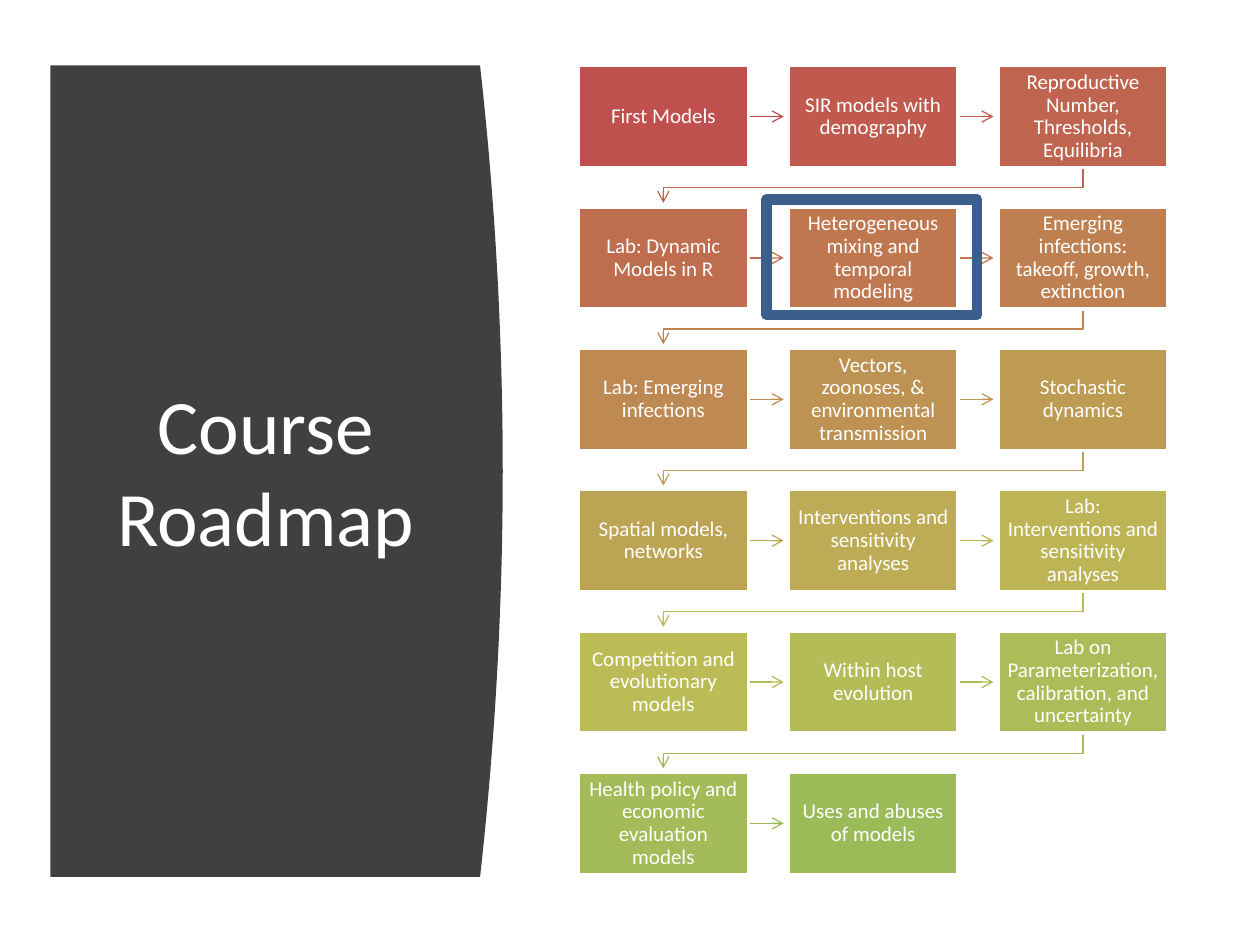
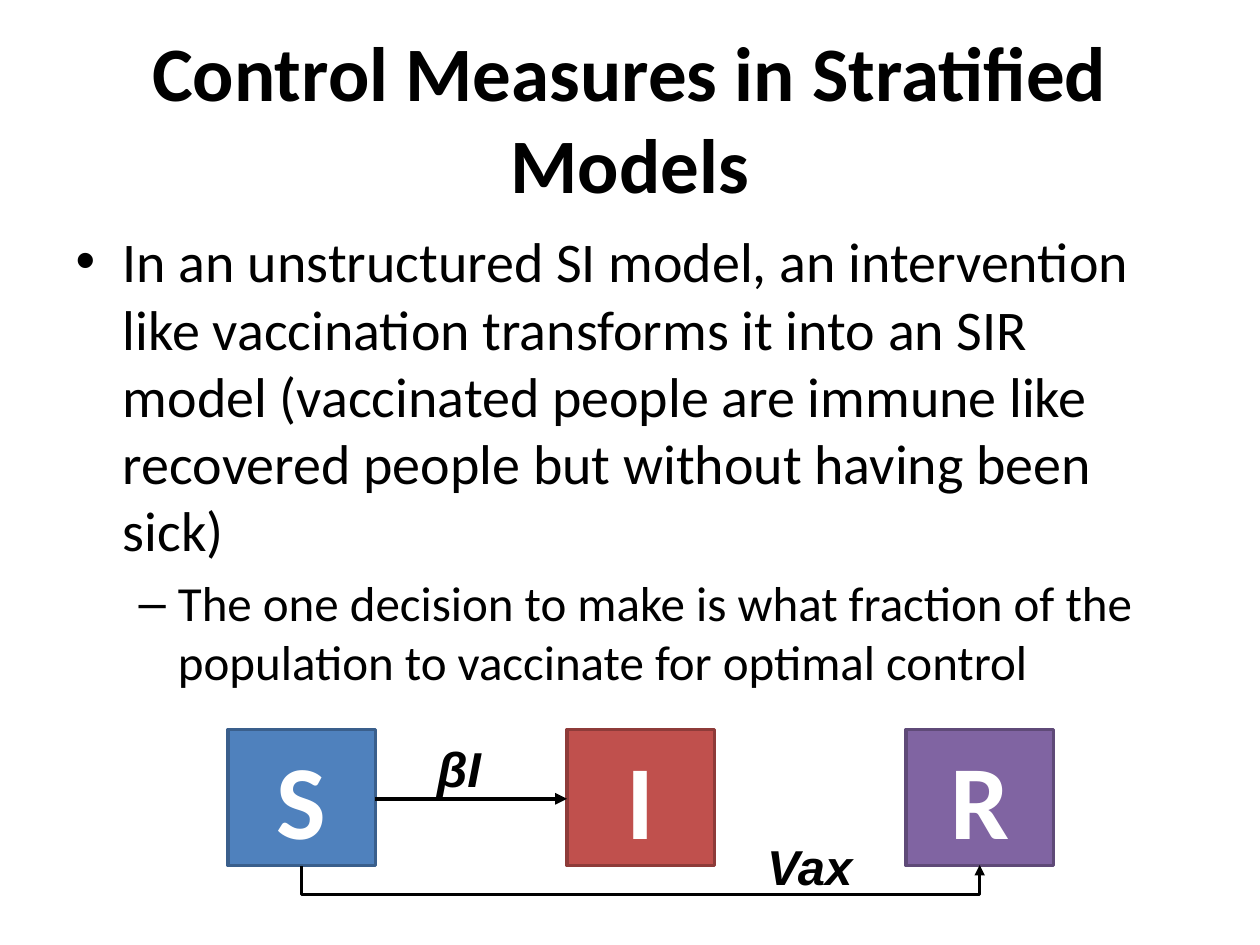
from colorsys import hls_to_rgb, rgb_to_hls

from lxml.etree import SubElement
from pptx import Presentation
from pptx.dml.color import RGBColor
from pptx.enum.shapes import MSO_CONNECTOR, MSO_SHAPE
from pptx.enum.text import MSO_ANCHOR, MSO_AUTO_SIZE, PP_ALIGN
from pptx.oxml.ns import qn
from pptx.util import Inches, Pt

COLORS = {
    "white": "FFFFFF", "black": "000000", "panel": "404040",
    "first": "C0504D", "last": "9BBB59", "marker": "3A5F8C",
    "blue": "4F81BD", "blue edge": "3A5F8C",
    "red": "C0504D", "red edge": "8E3B39",
    "purple": "8064A2", "purple edge": "5F4A78",
}
FONT = "Calibri"
LABEL_FONT = "Arial"

TOPICS = [
    "First Models", "SIR models with demography",
    "Reproductive Number, Thresholds, Equilibria",
    "Lab: Dynamic Models in R", "Heterogeneous mixing and temporal modeling",
    "Emerging infections: takeoff, growth, extinction",
    "Lab: Emerging infections",
    "Vectors, zoonoses, & environmental transmission", "Stochastic dynamics",
    "Spatial models, networks", "Interventions and sensitivity analyses",
    "Lab: Interventions and sensitivity analyses",
    "Competition and evolutionary models", "Within host evolution",
    "Lab on Parameterization, calibration, and uncertainty",
    "Health policy and economic evaluation models",
    "Uses and abuses of models",
]
BULLETS = [
    "In an unstructured SI model, an intervention like vaccination transforms "
    "it into an SIR model (vaccinated people are immune like recovered people "
    "but without having been sick)",
    "The one decision to make is what fraction of the population to vaccinate "
    "for optimal control",
]


# Shared helpers
def rgb(color):
    return RGBColor.from_string(color)


def inches(*values):
    return [Inches(value) for value in values]


def blend(share):
    """Colour between the first and last topic, mixed by hue."""
    ends = [rgb_to_hls(*(part / 255 for part in rgb(COLORS[name])))
            for name in ("first", "last")]
    mixed = [a + (b - a) * share for a, b in zip(*ends)]
    return "".join(f"{round(part * 255):02X}" for part in hls_to_rgb(*mixed))


def style_text(paragraph, size, color, font=FONT, bold=False, italic=False):
    for span in paragraph.runs:
        span.font.name = font
        span.font.size = Pt(size)
        span.font.bold = bold
        span.font.italic = italic
        span.font.color.rgb = rgb(color)


def style_line(shape, color, width, head=None):
    shape.line.color.rgb = rgb(color)
    shape.line.width = Pt(width)
    if head:
        SubElement(shape.line._get_or_add_ln(), qn("a:tailEnd"), type=head)


def set_title(page, text, box, color, bold=False):
    title = page.shapes.title
    title.left, title.top, title.width, title.height = inches(*box)
    title.text_frame.text = text
    title.text_frame.auto_size = MSO_AUTO_SIZE.NONE
    title.text_frame.vertical_anchor = MSO_ANCHOR.MIDDLE
    paragraph = title.text_frame.paragraphs[0]
    paragraph.alignment = PP_ALIGN.CENTER
    style_text(paragraph, 44, color, bold=bold)


def add_box(page, box, edge, width, fill=None):
    shape = page.shapes.add_shape(MSO_SHAPE.RECTANGLE, *inches(*box))
    shape.shadow.inherit = False
    if fill:
        shape.fill.solid()
        shape.fill.fore_color.rgb = rgb(fill)
    else:
        shape.fill.background()
    style_line(shape, edge, width)
    return shape


def fill_box(shape, text, size, bold=False):
    frame = shape.text_frame
    frame.word_wrap = True
    frame.vertical_anchor = MSO_ANCHOR.MIDDLE
    frame.text = text
    paragraph = frame.paragraphs[0]
    paragraph.alignment = PP_ALIGN.CENTER
    style_text(paragraph, size, COLORS["white"], bold=bold)
    return paragraph


def add_outline(page, points, close):
    start, *rest = [tuple(inches(*point)) for point in points]
    builder = page.shapes.build_freeform(*start)
    builder.add_line_segments(rest, close=close)
    shape = builder.convert_to_shape()
    shape.shadow.inherit = False
    return shape


def add_arrow(page, kind, start, end, color, width, head):
    arrow = page.shapes.add_connector(kind, *inches(*start, *end))
    style_line(arrow, color, width, head)
    SubElement(arrow._element.spPr, qn("a:effectLst"))
    return arrow


# Roadmap slide
def add_panel(page, box):
    """Dark panel with a bulging right edge, behind the title."""
    left, top, width, height = box
    bulge, steps = 0.18, 40
    points = [(left, top)]
    for step in range(steps + 1):
        offset = 2 * step / steps - 1
        points.append((left + width - bulge * offset ** 2,
                       top + height * step / steps))
    points.append((left, top + height))
    panel = add_outline(page, points, close=True)
    panel.fill.solid()
    panel.fill.fore_color.rgb = rgb(COLORS["panel"])
    panel.line.fill.background()
    page.shapes._spTree.insert(2, panel._element)


def add_roadmap(page, box, current):
    left, top, width, height = box
    columns, rows = 3, 6
    box_width, box_height, reach = 1.35, 0.81, 0.28
    pitch_x = (width - box_width) / (columns - 1)
    pitch_y = (height - box_height) / (rows - 1)
    last = len(TOPICS) - 1

    for index, topic in enumerate(TOPICS):
        row, column = divmod(index, columns)
        x, y = left + column * pitch_x, top + row * pitch_y
        # Arrow to the next topic
        if index < last:
            color = blend(index / (last - 1))
            if column < columns - 1:
                middle = y + box_height / 2
                add_arrow(page, MSO_CONNECTOR.STRAIGHT, (x + box_width, middle),
                          (x + box_width + reach, middle), color, 0.75, "arrow")
            else:
                start, end = x + box_width / 2, left + box_width / 2
                bottom = y + box_height
                turn = bottom + 0.16
                elbow = add_outline(page, [(start, bottom), (start, turn),
                                           (end, turn), (end, bottom + reach)],
                                    close=False)
                elbow.fill.background()
                style_line(elbow, color, 0.75, "arrow")
        # Topic box
        shape = add_box(page, (x, y, box_width, box_height), COLORS["white"], 2,
                        blend(index / last))
        frame = shape.text_frame
        frame.margin_left = frame.margin_right = Inches(0.07)
        frame.margin_top = frame.margin_bottom = Inches(0.07)
        fill_box(shape, topic, 12).line_spacing = 0.9

    # Marker around the current topic
    row, column = divmod(current, columns)
    add_box(page, (left + column * pitch_x - 0.17, top + row * pitch_y - 0.06,
                   1.67, 0.92), COLORS["marker"], 6)


def roadmap_slide(deck):
    page = deck.slides.add_slide(deck.slide_layouts[5])
    set_title(page, "Course Roadmap", (0.71, 1.11, 2.8, 5.24), COLORS["white"])
    add_panel(page, (0.4, 0.52, 3.59, 6.44))
    add_roadmap(page, (4.59, 0.52, 4.68, 6.42), current=4)


# Control measures slide
def add_bullets(page, box):
    body = page.placeholders[1]
    body.left, body.top, body.width, body.height = inches(*box)
    frame = body.text_frame
    frame.text = "\n".join(BULLETS)
    frame.auto_size = MSO_AUTO_SIZE.NONE
    for level, (paragraph, size) in enumerate(zip(frame.paragraphs, (32, 28))):
        paragraph.level = level
        paragraph.space_before = Pt(5.6 * level)
        style_text(paragraph, size, COLORS["black"])


def add_label(page, text, box):
    label = page.shapes.add_textbox(*inches(*box))
    label.text_frame.word_wrap = False
    label.text_frame.auto_size = MSO_AUTO_SIZE.SHAPE_TO_FIT_TEXT
    label.text_frame.text = text
    style_text(label.text_frame.paragraphs[0], 28, COLORS["black"], LABEL_FONT,
               bold=True, italic=True)


def add_loop_arrow(page, start_x, end_x, bottom, drop):
    """Elbow below the boxes: a three-part connector turned a quarter."""
    center, half, rise = (start_x + end_x) / 2, (end_x - start_x) / 2, 0.01
    arrow = add_arrow(page, MSO_CONNECTOR.ELBOW,
                      (center + rise / 2, bottom + half),
                      (center - rise / 2, bottom - half),
                      COLORS["black"], 1.5, "triangle")
    properties = arrow._element.spPr
    properties.find(qn("a:xfrm")).set("rot", "5400000")
    geometry = properties.find(qn("a:prstGeom"))
    guides = geometry.find(qn("a:avLst"))
    if guides is None:
        guides = SubElement(geometry, qn("a:avLst"))
    SubElement(guides, qn("a:gd"), name="adj1",
               fmla=f"val {round(-drop / rise * 100000)}")


def add_compartments(page, box):
    left, top, width, height = box
    side = 1.17
    pitch = (width - side) / 2
    for index, (letter, color) in enumerate(zip("SIR", ("blue", "red", "purple"))):
        shape = add_box(page, (left + index * pitch, top, side, height),
                        COLORS[f"{color} edge"], 2, COLORS[color])
        fill_box(shape, letter, 60, bold=True)
    # Flows between compartments
    middle = top + 0.55
    add_arrow(page, MSO_CONNECTOR.STRAIGHT, (left + side, middle),
              (left + pitch, middle), COLORS["black"], 2.25, "triangle")
    add_label(page, "βI", (left + 1.56, top + 0.02, 0.55, 0.57))
    add_label(page, "Vax", (left + 4.18, top + 0.8, 0.89, 0.57))
    add_loop_arrow(page, left + side / 2, left + width - side / 2,
                   top + height, 0.23)


def control_slide(deck):
    page = deck.slides.add_slide(deck.slide_layouts[1])
    set_title(page, "Control Measures in Stratified Models",
              (0.5, 0.3, 9, 1.25), COLORS["black"], bold=True)
    add_bullets(page, (0.5, 1.75, 9, 4.95))
    add_compartments(page, (1.81, 5.79, 6.55, 1.08))


def main():
    deck = Presentation()
    deck.slide_width, deck.slide_height = inches(10, 7.5)
    roadmap_slide(deck)
    control_slide(deck)
    deck.save("out.pptx")


if __name__ == "__main__":
    main()
